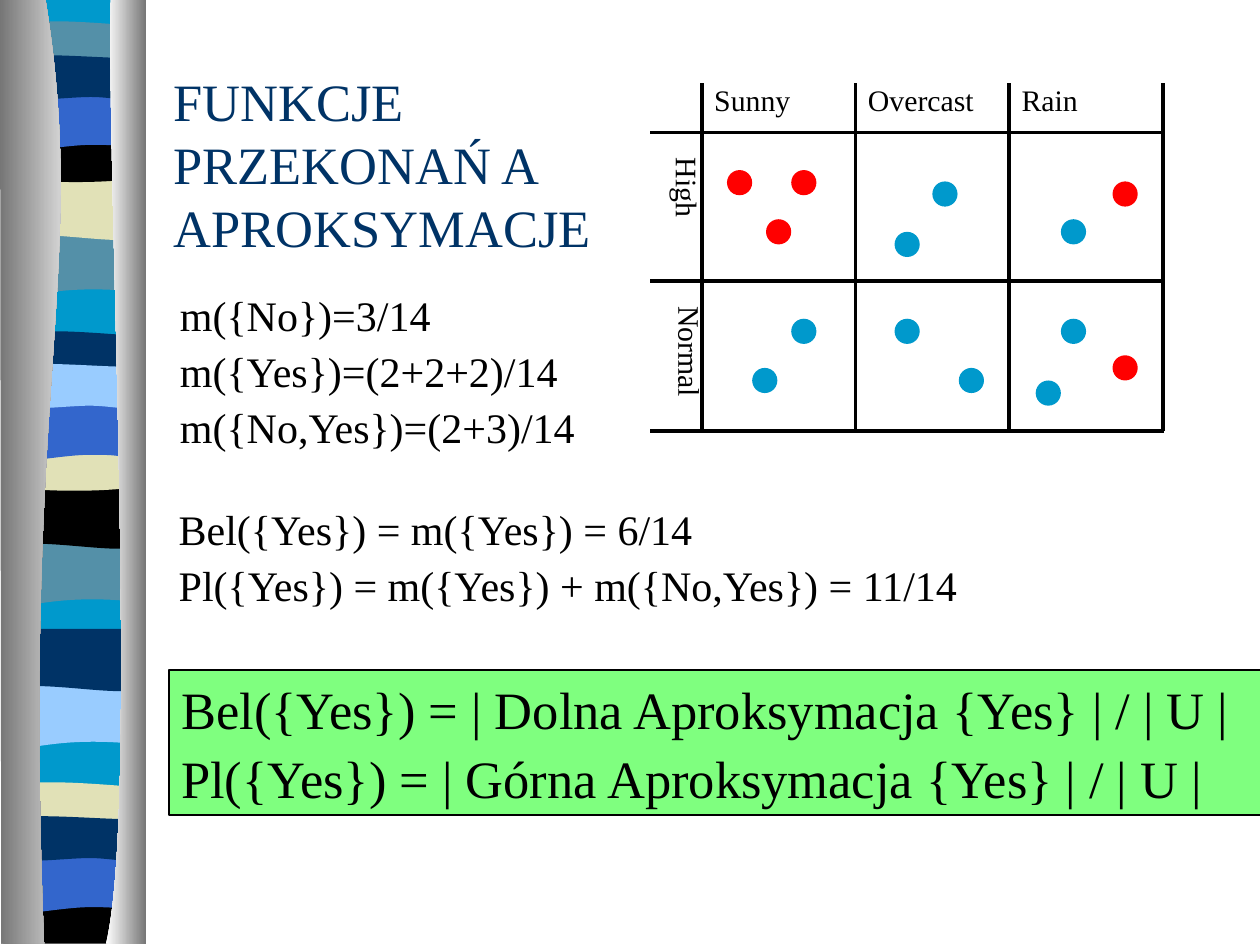
import pptx
import pptx.dml.color
import pptx.enum.shapes
import pptx.enum.text
import pptx.oxml
import pptx.oxml.ns
import pptx.util
from pptx.util import Inches

FONT = "Times New Roman"
BLACK, NAVY, BLUE, SKY = "000000", "003366", "3366CC", "99CCFF"
CYAN, TEAL, SAND = "0099CC", "5490A8", "E1E1B7"
RED, GREEN, GREY, WHITE = "FF0000", "00FF00", "767676", "FFFFFF"
DRAWING = 'xmlns:a="http://schemas.openxmlformats.org/drawingml/2006/main"'

# Outlines in inches: two numbers end a line, six describe a Bezier curve
OUTLINES = {
    "base": [(1.08, 0), (1.08, 7.48), (0, 7.48), (0, 0)],
    "ripple": [(1.08, 0), (1.08, .47), (.33, .39, .18, .55, 0, .47), (0, 0)],
    "swell": [(1.08, 0), (1.08, .47), (.9, .55, .33, .41, 0, .47), (0, 0)],
    "thin": [(1.08, .05), (1.08, .29), (.9, .33, .18, .33, 0, .29), (0, .05),
             (.06, 0, .23, .01, .41, .01), (.59, .01, .94, .04, 1.08, .05)],
    "bowl": [(1.08, 0), (1.08, .32), (.9, .38, .18, .38, 0, .32), (0, 0),
             (.66, .05, .85, 0, 1.08, 0)],
    "arch": [(1.08, 0), (1.08, .47), (.91, .41, .84, .41, .66, .41),
             (.48, .41, .16, .47, 0, .47), (0, 0)],
    "wave": [(1.08, .05), (1.08, .36), (1.01, .41, .84, .36, .66, .36),
             (.48, .36, .11, .41, 0, .36), (0, .05), (.15, 0, .73, .05, .91, .05),
             (1.09, .05, 1.04, .05, 1.08, .05)],
    "foot": [(1.08, 0), (1.08, .37), (0, .37), (0, 0), (.66, .05, .85, 0, 1.08, 0)],
    "left pillar": [(.36, 0), (.71, 2.17, .17, 2.97, .35, 7.5), (.01, 7.5), (0, 0)],
    "right pillar": [(.88, 0), (.84, 1.26, 1.11, 6.47, .84, 7.5), (1.16, 7.5), (1.16, 0)],
}
# Bands from back to front: outline, left, top, colour
BANDS = [
    ("base", .06, -.01, CYAN),
    ("ripple", .06, 1.85, TEAL), ("swell", .06, 1.41, SAND), ("thin", .06, .16, TEAL),
    ("bowl", .06, 1.08, BLACK), ("arch", .06, .74, BLUE), ("wave", .06, .41, NAVY),
    ("ripple", .05, 4.31, TEAL), ("swell", .05, 3.86, BLACK), ("thin", .05, 2.62, NAVY),
    ("bowl", .05, 3.53, SAND), ("arch", .05, 3.2, BLUE), ("wave", .05, 2.86, SKY),
    ("ripple", .06, 5.44, SKY), ("swell", .06, 4.99, NAVY), ("thin", .05, 6.2, SAND),
    ("foot", .05, 7.12, BLACK), ("arch", .05, 6.79, BLUE), ("wave", .05, 6.45, NAVY),
]
# Dot corners relative to the grid
DOTS = {
    CYAN: [(2.24, .78), (2.45, 2.26), (3.26, 1.87), (1.94, 1.87), (1.12, 1.87),
           (3.06, 2.36), (.81, 2.26), (1.94, 1.18), (3.26, 1.08)],
    RED: [(1.12, .69), (.92, 1.08), (.61, .69), (3.67, 2.16), (3.67, .78)],
}


def color(hex_text):
    return pptx.dml.color.RGBColor.from_string(hex_text)


def add_outline(page, name, left, top):
    parts = OUTLINES[name]
    places = [(Inches(left + part[i]), Inches(top + part[i + 1]))
              for part in parts for i in range(0, len(part), 2)]
    builder = page.shapes.build_freeform(*places[0])
    builder.add_line_segments(places[1:], close=True)
    shape = builder.convert_to_shape()
    # Turn each run of three segments that belongs to a curve into one Bezier
    segments = iter(shape._element.findall(".//" + pptx.oxml.ns.qn("a:lnTo")))
    for part in parts[1:]:
        segment = next(segments)
        if len(part) == 6:
            curve = pptx.oxml.parse_xml(f"<a:cubicBezTo {DRAWING}/>")
            segment.addprevious(curve)
            for piece in (segment, next(segments), next(segments)):
                curve.append(piece[0])
                piece.getparent().remove(piece)
    shape.shadow.inherit = False
    shape.line.fill.background()
    return shape


def fill_text(shape, lines, size, hex_text=BLACK, before=0):
    frame = shape.text_frame
    frame.word_wrap = True
    for index, line in enumerate(lines):
        para = frame.add_paragraph() if index else frame.paragraphs[0]
        para.alignment = pptx.enum.text.PP_ALIGN.LEFT
        if index:
            para.space_before = pptx.util.Pt(before)
        span = para.add_run()
        span.text = line
        span.font.name = FONT
        span.font.size = pptx.util.Pt(size)
        span.font.color.rgb = color(hex_text)


def add_text(page, box, lines, size, **style):
    shape = page.shapes.add_textbox(*map(Inches, box))
    fill_text(shape, lines, size, **style)
    return shape


def add_line(page, x1, y1, x2, y2):
    line = page.shapes.add_connector(
        pptx.enum.shapes.MSO_CONNECTOR.STRAIGHT, *map(Inches, (x1, y1, x2, y2)))
    line.line.color.rgb = color(BLACK)
    line.line.width = pptx.util.Pt(2)
    line._element.spPr.append(pptx.oxml.parse_xml(f"<a:effectLst {DRAWING}/>"))


def draw_border(page, left, top):
    # Coloured bands
    for name, x, y, hex_text in BANDS:
        shape = add_outline(page, name, left + x, top + y)
        shape.fill.solid()
        shape.fill.fore_color.rgb = color(hex_text)
    # Shaded pillars on both sides
    for name, shades in (("left pillar", (GREY, WHITE)), ("right pillar", (WHITE, GREY))):
        fill = add_outline(page, name, left, top - .01).fill
        fill.gradient()
        fill.gradient_angle = 0
        for stop, shade, position in zip(fill.gradient_stops, shades, (0, 1)):
            stop.color.rgb = color(shade)
            stop.position = position


def draw_grid(page, left, top, width, height):
    first, step = left + .41, 1.22
    right, bottom = left + width, top + height
    # Rules
    for column in range(4):
        x = first + column * step
        add_line(page, x, top, x, bottom)
    for y in (top + .39, top + 1.57, bottom):
        add_line(page, left, y, right, y)
    # Column and row labels
    for column, label in enumerate(("Sunny", "Overcast", "Rain")):
        add_text(page, (first + column * step, top - .06, 1.12, .39), [label], 17)
    for label, x, y, length in (("High", .01, .49, .79), ("Normal", .03, 1.67, 1.18)):
        box = add_text(page, (left + x, top + y, .48, length), [label], 17)
        frame = box.text_frame
        frame.word_wrap = False
        frame.margin_left = frame.margin_right = Inches(.05)
        frame.margin_top = frame.margin_bottom = Inches(.1)
        frame._txBody.bodyPr.set("vert", "eaVert")
    # Dots
    for hex_text, corners in DOTS.items():
        for x, y in corners:
            dot = page.shapes.add_shape(
                pptx.enum.shapes.MSO_SHAPE.OVAL,
                Inches(left + x), Inches(top + y), Inches(.2), Inches(.2))
            dot.shadow.inherit = False
            dot.fill.solid()
            dot.fill.fore_color.rgb = color(hex_text)
            dot.line.fill.background()


def draw_conclusion(page, box, lines):
    panel = page.shapes.add_shape(
        pptx.enum.shapes.MSO_SHAPE.RECTANGLE, *map(Inches, box))
    panel.shadow.inherit = False
    panel.fill.solid()
    panel.fill.fore_color.rgb = color(GREEN)
    tint = panel._element.spPr.find(".//" + pptx.oxml.ns.qn("a:srgbClr"))
    tint.append(pptx.oxml.parse_xml(f'<a:alpha {DRAWING} val="50000"/>'))
    panel.line.color.rgb = color(BLACK)
    panel.line.width = pptx.util.Pt(1)
    panel.text_frame.vertical_anchor = pptx.enum.text.MSO_ANCHOR.TOP
    fill_text(panel, lines, 30, before=3.7)


def main():
    deck = pptx.Presentation()
    deck.slide_width, deck.slide_height = Inches(10), Inches(7.5)
    page = deck.slides.add_slide(deck.slide_layouts[6])
    draw_border(page, 0, 0)
    draw_grid(page, 5.16, .66, 4.08, 2.76)
    add_text(page, (1.33, 2.25, 3.83, 1.39),
             ["m({No})=3/14", "m({Yes})=(2+2+2)/14", "m({No,Yes})=(2+3)/14"], 24, before=3)
    title = add_text(page, (1.28, .67, 3.55, 1.25),
                     ["FUNKCJE PRZEKONAŃ A APROKSYMACJE"], 30, hex_text=NAVY)
    title.text_frame.vertical_anchor = pptx.enum.text.MSO_ANCHOR.MIDDLE
    add_text(page, (1.32, 3.95, 8.68, .94),
             ["Bel({Yes}) = m({Yes}) = 6/14", "Pl({Yes}) = m({Yes}) + m({No,Yes}) = 11/14"],
             24, before=3)
    draw_conclusion(page, (1.34, 5.32, 8.68, 1.15),
                    ["Bel({Yes}) = | Dolna Aproksymacja {Yes} | / | U |",
                     "Pl({Yes}) = | Górna Aproksymacja {Yes} | / | U |"])
    deck.save("out.pptx")


if __name__ == "__main__":
    main()
